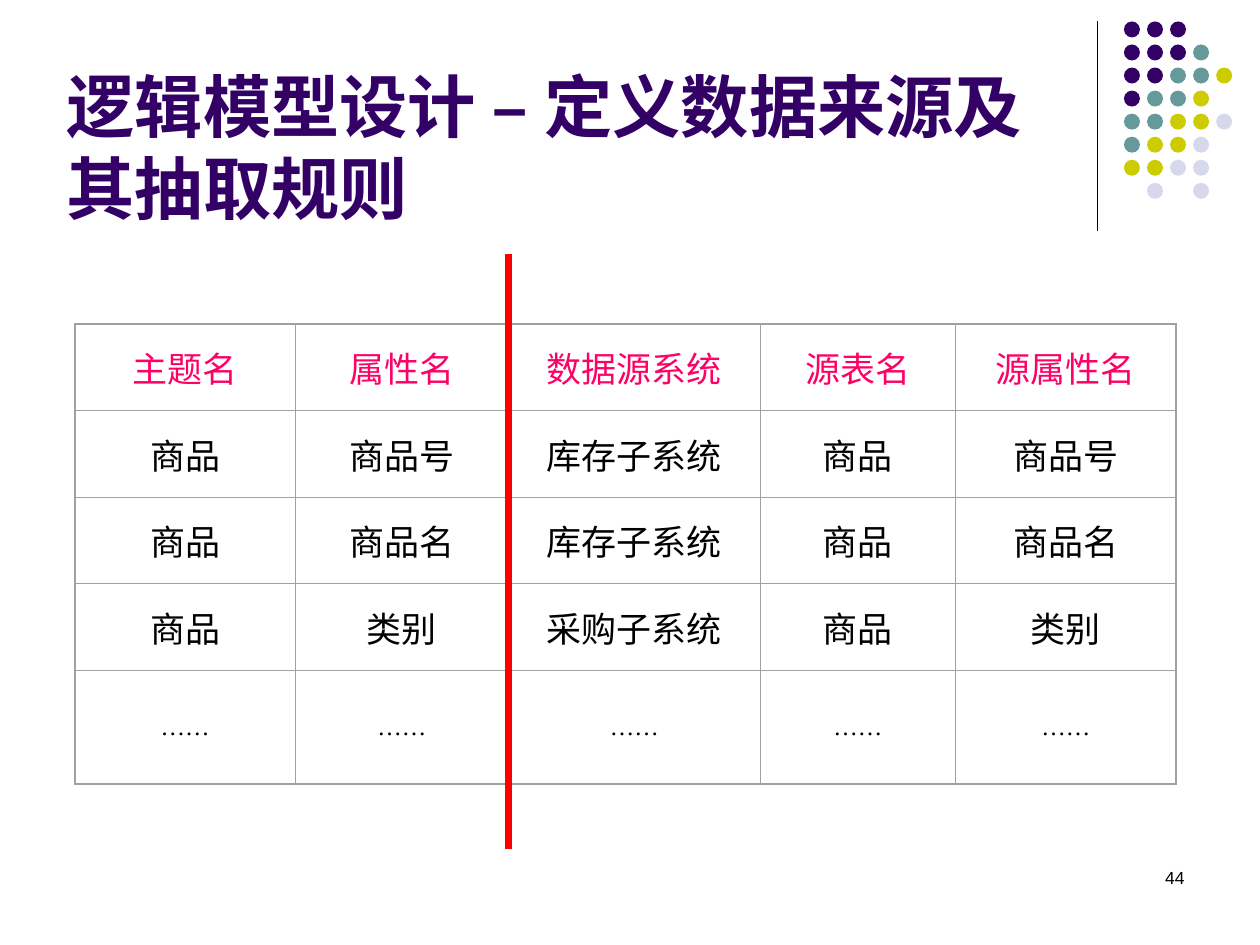
from itertools import accumulate

from lxml import etree
from pptx import Presentation
from pptx.dml.color import RGBColor
from pptx.enum.shapes import MSO_CONNECTOR, MSO_SHAPE
from pptx.enum.text import MSO_ANCHOR, MSO_AUTO_SIZE, PP_ALIGN
from pptx.oxml.ns import qn
from pptx.util import Inches, Pt

STRAIGHT = MSO_CONNECTOR.STRAIGHT
OVAL = MSO_SHAPE.OVAL
LEFT, CENTER, RIGHT = PP_ALIGN.LEFT, PP_ALIGN.CENTER, PP_ALIGN.RIGHT
TOP, MIDDLE, BOTTOM = MSO_ANCHOR.TOP, MSO_ANCHOR.MIDDLE, MSO_ANCHOR.BOTTOM
TITLE_ONLY = 5

COLORS = {
    "ink": "000000", "purple": "330066", "teal": "669999", "olive": "CCCC00",
    "lilac": "D8D8EC", "pink": "FF0066", "red": "FF0000", "border": "A0A0A0",
}
DOT_COLORS = {"P": "purple", "T": "teal", "O": "olive", "L": "lilac"}
DOT_ROWS = ["PPP", "PPPT", "PPTTO", "PTTO", "TTOOL", "TOOL", "OOLL", " L L"]

MAPPING = [
    ["主题名", "属性名", "数据源系统", "源表名", "源属性名"],
    ["商品", "商品号", "库存子系统", "商品", "商品号"],
    ["商品", "商品名", "库存子系统", "商品", "商品名"],
    ["商品", "类别", "采购子系统", "商品", "类别"],
    ["……"] * 5,
]
COLUMN_WIDTHS = [17.5, 16.9, 20, 15.5, 17.5]
ROW_HEIGHTS = [6.88] * 4 + [9]


def rgb(name):
    return RGBColor.from_string(COLORS[name])


def write(frame, text, *, size, color="ink", font="Arial", bold=False, align=LEFT):
    paragraph = frame.paragraphs[0]
    paragraph.alignment = align
    run = paragraph.add_run()
    run.text = text
    run.font.name, run.font.size, run.font.bold = font, Pt(size), bold
    run.font.color.rgb = rgb(color)


def set_borders(cell, widths, color):
    """Draw the cell edges; widths holds points keyed by L, R, T, B."""
    properties = cell._tc.get_or_add_tcPr()
    for position, side in enumerate("LRTB"):
        edge = etree.Element(qn(f"a:ln{side}"), w=str(Pt(widths[side])))
        fill = etree.SubElement(edge, qn("a:solidFill"))
        etree.SubElement(fill, qn("a:srgbClr"), val=COLORS[color])
        properties.insert(position, edge)


class GridSlide:
    """A slide laid out on a grid of 100 columns by 75 rows."""

    def __init__(self, deck):
        self.slide = deck.slides.add_slide(deck.slide_layouts[TITLE_ONLY])
        self.column = deck.slide_width / 100
        self.row = deck.slide_height / 75

    def x(self, columns):
        return round(columns * self.column)

    def y(self, rows):
        return round(rows * self.row)

    def box(self, left, top, width, height):
        return self.x(left), self.y(top), self.x(width), self.y(height)

    def title(self, text, *place, **style):
        title = self.slide.shapes.title
        title.left, title.top, title.width, title.height = self.box(*place)
        frame = title.text_frame
        frame.auto_size, frame.word_wrap = MSO_AUTO_SIZE.NONE, True
        frame.vertical_anchor = BOTTOM
        write(frame, text, **style)

    def text(self, text, *place, **style):
        frame = self.slide.shapes.add_textbox(*self.box(*place)).text_frame
        frame.word_wrap, frame.vertical_anchor = True, TOP
        write(frame, text, **style)

    def dot(self, left, top, diameter, color):
        dot = self.slide.shapes.add_shape(OVAL, *self.box(left, top, diameter, diameter))
        dot.shadow.inherit = False
        dot.fill.solid()
        dot.fill.fore_color.rgb = rgb(color)
        dot.line.fill.background()

    def vertical_line(self, column, top, bottom, color, weight):
        line = self.slide.shapes.add_connector(
            STRAIGHT, self.x(column), self.y(top), self.x(column), self.y(bottom))
        line.line.color.rgb = rgb(color)
        line.line.width = Pt(weight)
        etree.SubElement(line._element.spPr, qn("a:effectLst"))

    def table(self, rows, left, top, widths, heights, inner=0.5, outer=1):
        place = self.box(left, top, sum(widths), sum(heights))
        table = self.slide.shapes.add_table(len(rows), len(widths), *place).table
        table.first_row = table.horz_banding = False
        for column, width in zip(table.columns, widths):
            column.width = self.x(width)
        for row, height in zip(table.rows, heights):
            row.height = self.y(height)
        last_row, last_column = len(rows) - 1, len(widths) - 1
        for r, labels in enumerate(rows):
            for c, label in enumerate(labels):
                cell = table.cell(r, c)
                cell.fill.background()
                cell.vertical_anchor = MIDDLE
                write(cell.text_frame, label, font="Times New Roman", align=CENTER,
                      size=14 if r == last_row else 20,
                      color="pink" if r == 0 else "ink")
                on_edge = {"L": c == 0, "R": c == last_column,
                           "T": r == 0, "B": r == last_row}
                set_borders(cell, {side: outer if edge else inner
                                   for side, edge in on_edge.items()}, "border")


def main():
    deck = Presentation()
    deck.slide_width, deck.slide_height = Inches(10), Inches(7.5)
    page = GridSlide(deck)

    page.vertical_line(87.1, 1.7, 18.3, "ink", 0.75)
    dot_pitch = 1.83
    for r, dots in enumerate(DOT_ROWS):
        for c, code in enumerate(dots):
            if code in DOT_COLORS:
                page.dot(89.2 + c * dot_pitch, 1.7 + r * dot_pitch, 1.27, DOT_COLORS[code])

    page.title("逻辑模型设计 – 定义数据来源及其抽取规则", 4.3, 4.4, 82.5, 14.2,
               size=39, color="purple", bold=True)
    table_left = 5.95
    page.table(MAPPING, table_left, 25.7, COLUMN_WIDTHS, ROW_HEIGHTS)
    target_end = list(accumulate(COLUMN_WIDTHS, initial=table_left))[2]
    page.vertical_line(target_end, 20.2, 67.4, "red", 3.75)
    page.text("44", 71.7, 68.3, 23.3, 5, size=10, align=RIGHT)

    deck.save("out.pptx")


if __name__ == "__main__":
    main()
